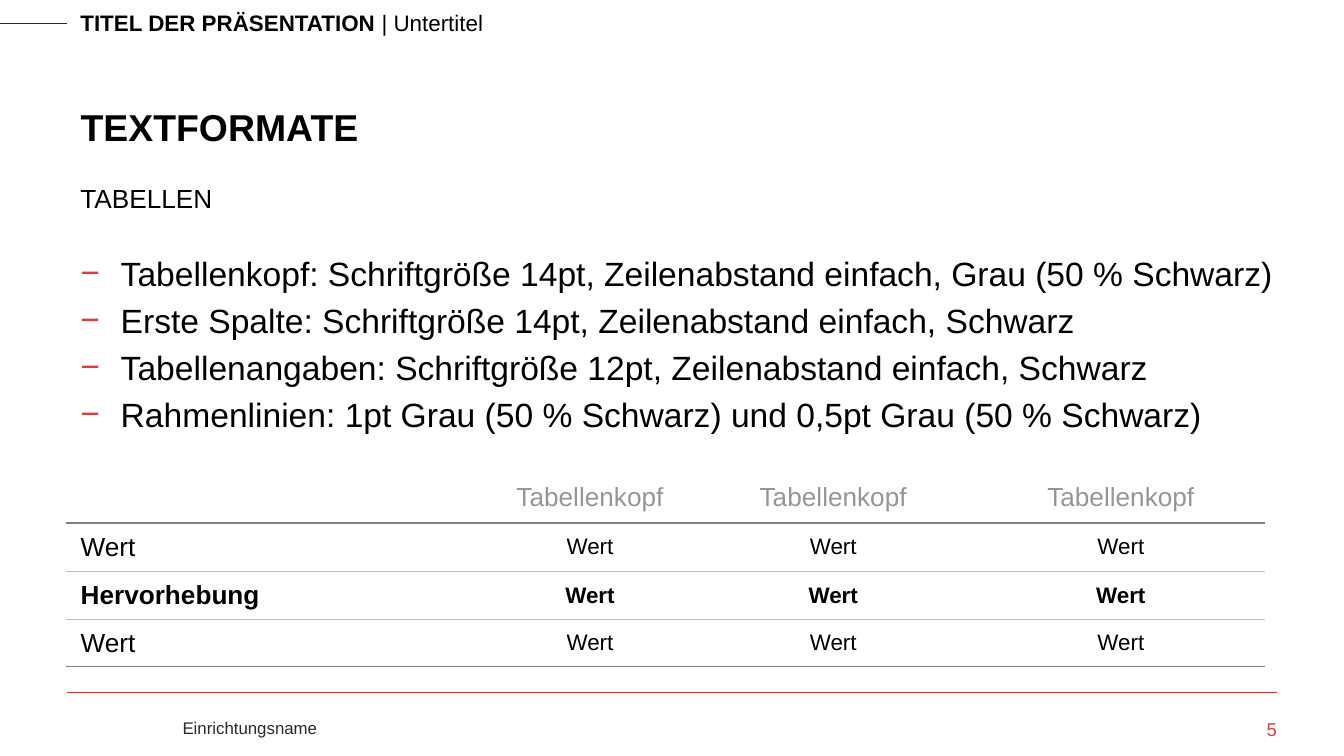
from dataclasses import dataclass

from lxml.etree import SubElement
from pptx import Presentation
from pptx.dml.color import RGBColor
from pptx.enum.shapes import MSO_CONNECTOR as Connector
from pptx.enum.text import MSO_ANCHOR as Anchor, MSO_AUTO_SIZE as AutoSize, PP_ALIGN as Align
from pptx.oxml.ns import qn
from pptx.util import Inches, Pt


@dataclass(frozen=True)
class Theme:
    font: str = "Arial"
    black: str = "000000"
    dark: str = "262A31"
    red: str = "D8413E"
    white: str = "FFFFFF"
    header_gray: str = "969696"
    strong_rule: str = "808080"
    light_rule: str = "BFBFBF"
    title: int = 20
    body: int = 18
    label: int = 14
    value: int = 12
    number: int = 10
    footer: int = 9
    hairline: float = 0.25
    thin_border: float = 0.23
    border: float = 0.96


THEME = Theme()

BULLETS = [
    "Tabellenkopf: Schriftgröße 14pt, Zeilenabstand einfach, Grau (50 % Schwarz)",
    "Erste Spalte: Schriftgröße 14pt, Zeilenabstand einfach, Schwarz",
    "Tabellenangaben: Schriftgröße 12pt, Zeilenabstand einfach, Schwarz",
    "Rahmenlinien: 1pt Grau (50 % Schwarz) und 0,5pt Grau (50 % Schwarz)",
]
TABLE_ROWS = [
    ["", "Tabellenkopf", "Tabellenkopf", "Tabellenkopf"],
    ["Wert", "Wert", "Wert", "Wert"],
    ["Hervorhebung", "Wert", "Wert", "Wert"],
    ["Wert", "Wert", "Wert", "Wert"],
]
COLUMN_WIDTHS = [3.15, 1.48, 2.14, 2.14]
ROW_HEIGHTS = [0.38, 0.36, 0.36, 0.35]
HIGHLIGHT_ROW = 2


def add_run(paragraph, text, size=THEME.body, color=THEME.black, bold=False):
    run = paragraph.add_run()
    run.text = text
    run.font.name = THEME.font
    run.font.size = Pt(size)
    run.font.bold = bold
    run.font.color.rgb = RGBColor.from_string(color)


def write_text(paragraph, text, align=Align.LEFT, **run_format):
    paragraph.alignment = align
    add_run(paragraph, text, **run_format)


def add_text_box(slide, left, top, width, height, margins=(0.1, 0.05), anchor=Anchor.TOP):
    box = slide.shapes.add_textbox(Inches(left), Inches(top), Inches(width), Inches(height))
    frame = box.text_frame
    frame.word_wrap = True
    frame.vertical_anchor = anchor
    frame.margin_left = frame.margin_right = Inches(margins[0])
    frame.margin_top = frame.margin_bottom = Inches(margins[1])
    return frame


def add_rule(slide, start, end, y, color):
    rule = slide.shapes.add_connector(
        Connector.STRAIGHT, Inches(start), Inches(y), Inches(end), Inches(y))
    rule.line.color.rgb = RGBColor.from_string(color)
    rule.line.width = Pt(THEME.hairline)
    SubElement(rule._element.spPr, qn("a:effectLst"))


def set_title(slide, text):
    title = slide.shapes.title
    title.left, title.top = Inches(0.5), Inches(0.33)
    title.width, title.height = Inches(9), Inches(0.83)
    frame = title.text_frame
    frame.auto_size = AutoSize.NONE
    frame.vertical_anchor = Anchor.BOTTOM
    write_text(frame.paragraphs[0], text, size=THEME.title, bold=True)


def add_bullet(paragraph):
    properties = paragraph._p.get_or_add_pPr()
    properties.set("marL", str(Inches(0.3)))
    properties.set("indent", str(-Inches(0.3)))
    bullet_color = SubElement(properties, qn("a:buClr"))
    SubElement(bullet_color, qn("a:srgbClr"), val=THEME.red)
    SubElement(properties, qn("a:buFont"), typeface=THEME.font)
    SubElement(properties, qn("a:buChar"), char="−")


def add_bullet_list(slide, items):
    frame = add_text_box(slide, 0.5, 1.77, 9.19, 3.26)
    for index, item in enumerate(items):
        paragraph = frame.add_paragraph() if index else frame.paragraphs[0]
        add_bullet(paragraph)
        if index:
            paragraph.space_before = Pt(3.6)
        else:
            paragraph.line_spacing = 1.2
        write_text(paragraph, item)


def set_border(cell, side, color, width):
    properties = cell._tc.get_or_add_tcPr()
    line = SubElement(properties, qn(f"a:ln{side}"), w=str(Pt(width)))
    fill = SubElement(line, qn("a:solidFill"))
    SubElement(fill, qn("a:srgbClr"), val=color)


def horizontal_rule(edge):
    if edge == 0:
        return THEME.white, THEME.border
    if edge in (1, len(TABLE_ROWS)):
        return THEME.strong_rule, THEME.border
    return THEME.light_rule, THEME.thin_border


def format_cell(cell, row, column, text):
    is_label = row == 0 or column == 0
    size = THEME.label if is_label else THEME.value
    paragraph = cell.text_frame.paragraphs[0]
    if text:
        write_text(
            paragraph, text, size=size,
            align=Align.CENTER if column else Align.LEFT,
            color=THEME.black if row else THEME.header_gray,
            bold=row == HIGHLIGHT_ROW,
        )
    else:
        SubElement(paragraph._p, qn("a:endParaRPr"), sz=str(size * 100))
    cell.vertical_anchor = Anchor.MIDDLE
    for side in "LR":
        set_border(cell, side, THEME.white, THEME.border)
    set_border(cell, "T", *horizontal_rule(row))
    set_border(cell, "B", *horizontal_rule(row + 1))
    cell.fill.background()


def add_value_table(slide):
    table = slide.shapes.add_table(
        len(ROW_HEIGHTS), len(COLUMN_WIDTHS), Inches(0.5), Inches(3.51),
        Inches(sum(COLUMN_WIDTHS)), Inches(sum(ROW_HEIGHTS))).table
    table.horz_banding = False
    for column, width in zip(table.columns, COLUMN_WIDTHS):
        column.width = Inches(width)
    for row, height in zip(table.rows, ROW_HEIGHTS):
        row.height = Inches(height)
    for row, texts in enumerate(TABLE_ROWS):
        for column, text in enumerate(texts):
            format_cell(table.cell(row, column), row, column, text)


def add_header(slide):
    add_rule(slide, 0, 0.5, 0.17, THEME.dark)
    paragraph = add_text_box(slide, 0.5, 0.02, 7.66, 0.3).paragraphs[0]
    write_text(paragraph, "TITEL DER PRÄSENTATION ", size=THEME.value, bold=True)
    add_run(paragraph, "| Untertitel", size=THEME.value)


def add_footer(slide):
    add_rule(slide, 0.5, 9.5, 5.15, THEME.red)
    institution = add_text_box(slide, 1.26, 5.29, 7.42, 0.25)
    write_text(institution.paragraphs[0], "Einrichtungsname", size=THEME.footer, color=THEME.dark)
    number = add_text_box(slide, 8.69, 5.34, 0.81, 0.22, margins=(0, 0))
    write_text(number.paragraphs[0], "5", align=Align.RIGHT, size=THEME.number, color=THEME.red)


def main():
    presentation = Presentation()
    presentation.slide_width = Inches(10)
    presentation.slide_height = Inches(10 * 9 / 16)
    slide = presentation.slides.add_slide(presentation.slide_layouts[5])
    add_header(slide)
    set_title(slide, "TEXTFORMATE")
    subtitle = add_text_box(slide, 0.5, 1.23, 9, 0.41, anchor=Anchor.BOTTOM)
    write_text(subtitle.paragraphs[0], "TABELLEN", size=THEME.label)
    add_bullet_list(slide, BULLETS)
    add_value_table(slide)
    add_footer(slide)
    presentation.save("out.pptx")


if __name__ == "__main__":
    main()
